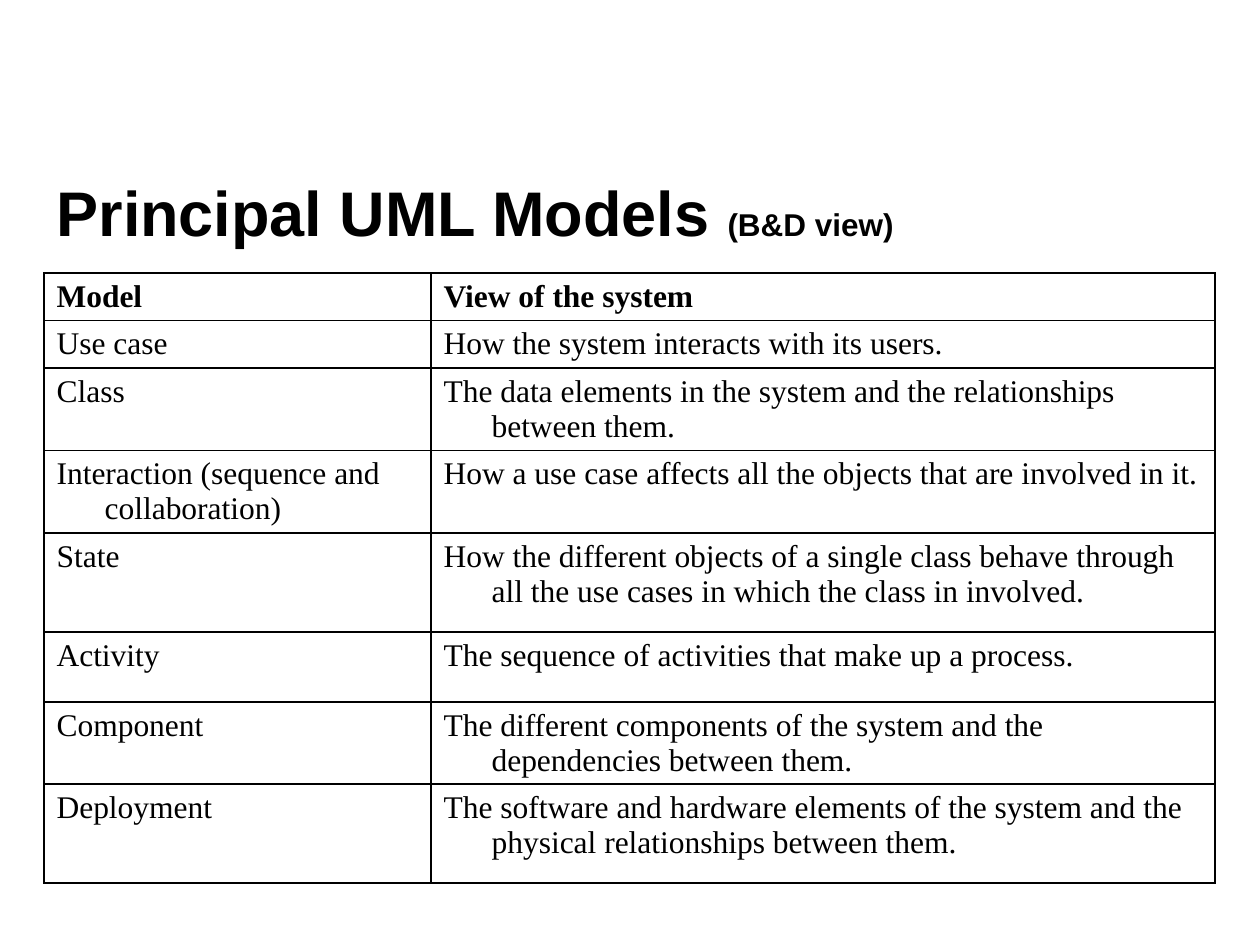
from lxml.etree import SubElement
from pptx import Presentation
from pptx.dml.color import RGBColor
from pptx.enum.text import MSO_ANCHOR as Anchor, PP_ALIGN as Align
from pptx.oxml.ns import qn
from pptx.util import Emu, Pt

PX_PER_INCH = 126
BLACK, WHITE = "000000", "FFFFFF"
HANGING_INDENT = 48
COLUMN_WIDTHS = [387, 784]
MODELS = [
    (47, "Model", "View of the system"),
    (47, "Use case", "How the system interacts with its users."),
    (82, "Class", "The data elements in the system and the relationships between them."),
    (82, "Interaction (sequence and collaboration)",
     "How a use case affects all the objects that are involved in it."),
    (99, "State", "How the different objects of a single class behave through "
     "all the use cases in which the class in involved."),
    (70, "Activity", "The sequence of activities that make up a process."),
    (82, "Component", "The different components of the system and the dependencies between them."),
    (99, "Deployment", "The software and hardware elements of the system and the "
     "physical relationships between them."),
]


def px(length):
    return Emu(round(length * 914400 / PX_PER_INCH))


def colour(value):
    return RGBColor.from_string(value)


def add_run(paragraph, wording, **font_format):
    run = paragraph.add_run()
    run.text = wording
    for attribute, value in font_format.items():
        setattr(run.font, attribute, value)
    run.font.color.rgb = colour(BLACK)


def fill_title(title):
    placement = {"left": px(44), "top": px(165), "width": px(1071), "height": px(93)}
    for attribute, value in placement.items():
        setattr(title, attribute, value)
    title.text_frame.vertical_anchor = Anchor.MIDDLE
    heading = title.text_frame.paragraphs[0]
    heading.alignment = Align.LEFT
    for wording, size in [("Principal UML Models ", 36), ("(B&D view)", 18)]:
        add_run(heading, wording, name="Arial", size=Pt(size), bold=True)


def add_borders(cell):
    properties = cell._tc.get_or_add_tcPr()
    for position, side in enumerate(["lnL", "lnR", "lnT", "lnB"]):
        border = properties.makeelement(qn(f"a:{side}"), {"w": str(Pt(1))})
        solid = SubElement(border, qn("a:solidFill"))
        SubElement(solid, qn("a:srgbClr"), val=BLACK)
        properties.insert(position, border)


def fill_cell(cell, wording, bold):
    cell.fill.solid()
    cell.fill.fore_color.rgb = colour(WHITE)
    add_borders(cell)
    entry = cell.text_frame.paragraphs[0]
    indent = px(HANGING_INDENT)
    properties = entry._p.get_or_add_pPr()
    for attribute, value in {"marL": indent, "indent": -indent}.items():
        properties.set(attribute, str(value))
    add_run(entry, wording, name="Times New Roman", size=Pt(18), bold=bold)


def add_model_table(slide):
    total_height = sum(height for height, *_ in MODELS)
    table = slide.shapes.add_table(
        len(MODELS), len(COLUMN_WIDTHS), px(44), px(273),
        px(sum(COLUMN_WIDTHS)), px(total_height)).table
    table.first_row = table.horz_banding = False
    for column, width in zip(table.columns, COLUMN_WIDTHS):
        column.width = px(width)
    for index, (height, *entries) in enumerate(MODELS):
        table.rows[index].height = px(height)
        for cell, wording in zip(table.rows[index].cells, entries):
            fill_cell(cell, wording, bold=index == 0)


def main():
    deck = Presentation()
    deck.slide_width, deck.slide_height = px(1260), px(945)
    slide = deck.slides.add_slide(deck.slide_layouts[5])
    fill_title(slide.shapes.title)
    add_model_table(slide)
    deck.save("out.pptx")


if __name__ == "__main__":
    main()
